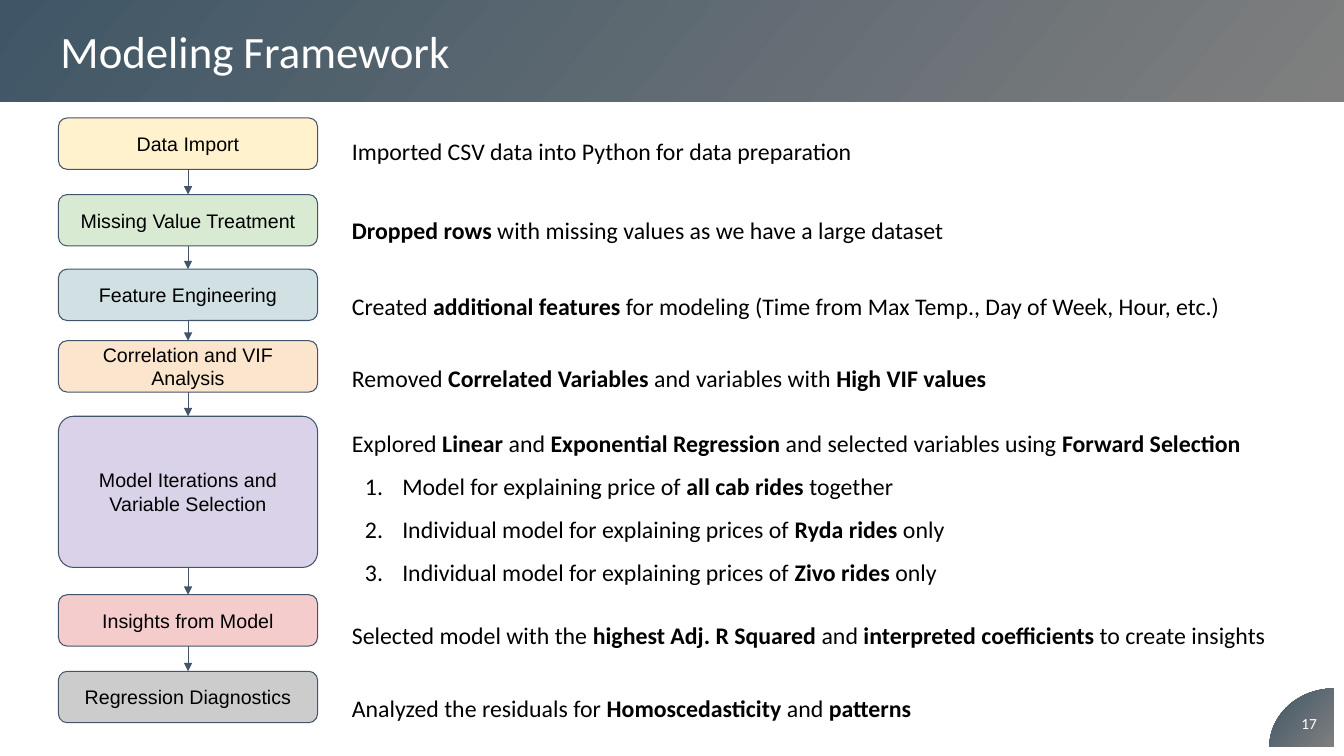
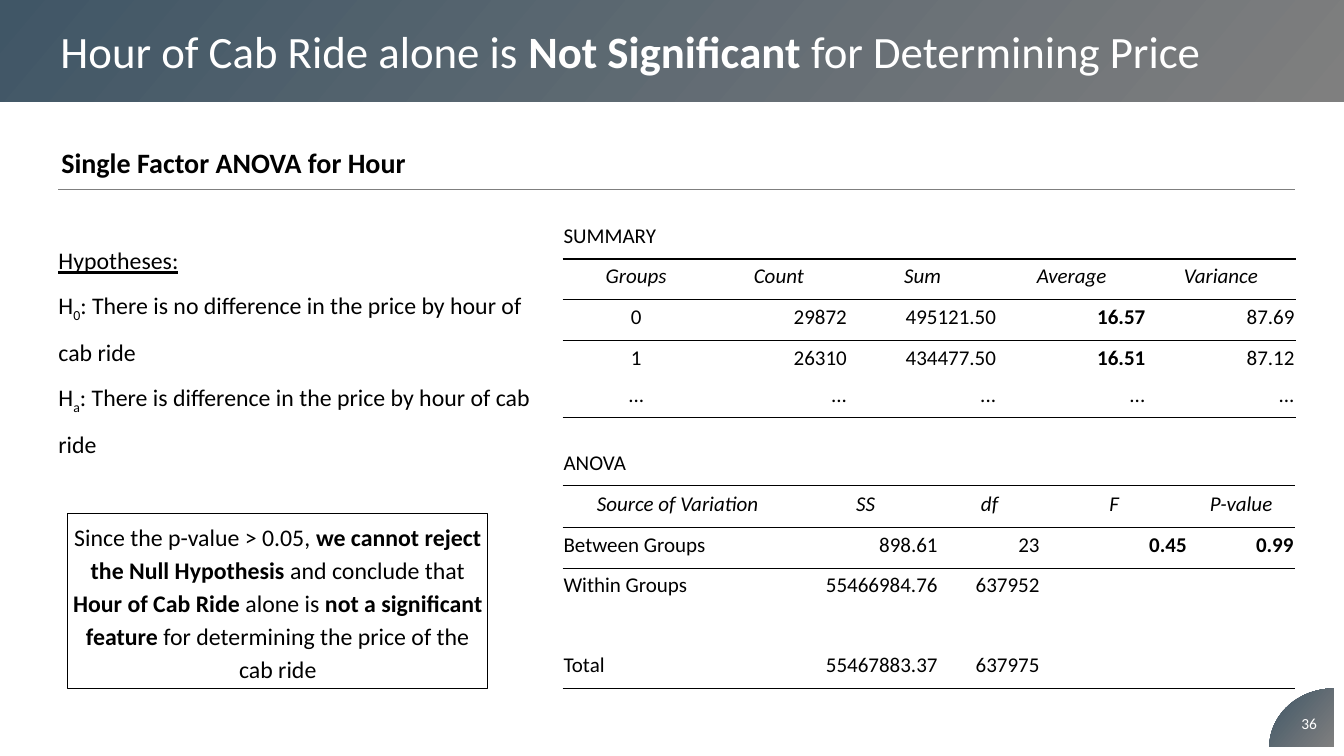
from math import cos, pi, sin

from lxml import etree
from pptx import Presentation
from pptx import util as u
from pptx.dml.color import RGBColor
from pptx.enum import shapes, text
from pptx.oxml import ns

COLORS = {
    "slate": "405666", "gray": "7F7F7F", "white": "FFFFFF", "black": "000000",
    "outline": "44546A", "yellow": "FFF2CC", "green": "D9EAD3", "teal": "D0E0E3",
    "orange": "FCE5CD", "purple": "D9D2E9", "red": "F4CCCC", "silver": "CCCCCC",
}
LEFT, CENTER, RIGHT = text.PP_ALIGN.LEFT, text.PP_ALIGN.CENTER, text.PP_ALIGN.RIGHT
MIDDLE = text.MSO_ANCHOR.MIDDLE
BODY = {"name": "Calibri", "size": u.Pt(17), "color": "black"}
TITLE = {**BODY, "size": u.Pt(32), "color": "white"}
NUMBER = {**BODY, "size": u.Pt(11), "color": "white"}
HEADING = {**BODY, "size": u.Pt(20), "bold": True}
CELL = {**BODY, "size": u.Pt(15)}
STEP = {**BODY, "name": "Arial", "size": u.Pt(14)}

STEPS = [
    ("Data Import", 1.17, 0.51, "yellow", 1.17, 0.51,
     ["Imported CSV data into Python for data preparation"]),
    ("Missing Value Treatment", 1.93, 0.51, "green", 1.96, 0.51,
     ["**Dropped rows** with missing values as we have a large dataset"]),
    ("Feature Engineering", 2.67, 0.51, "teal", 2.71, 0.51,
     ["Created **additional features** for modeling "
      "(Time from Max Temp., Day of Week, Hour, etc.)"]),
    ("Correlation and VIF Analysis", 3.38, 0.51, "orange", 3.42, 0.51,
     ["Removed **Correlated Variables** and variables with **High VIF values**"]),
    ("Model Iterations and Variable Selection", 4.13, 1.5, "purple", 4.09, 1.75,
     ["Explored **Linear** and **Exponential Regression** and selected variables "
      "using **Forward Selection**",
      "Model for explaining price of **all cab rides** together",
      "Individual model for explaining prices of **Ryda rides** only",
      "Individual model for explaining prices of **Zivo rides** only"]),
    ("Insights from Model", 5.9, 0.51, "red", 5.97, 0.51,
     ["Selected model with the **highest Adj. R Squared** and "
      "**interpreted coefficients** to create insights"]),
    ("Regression Diagnostics", 6.66, 0.51, "silver", 6.7, 0.51,
     ["Analyzed the residuals for **Homoscedasticity** and **patterns**"]),
]
SUMMARY = [
    ["SUMMARY"],
    ["Groups", "Count", "Sum", "Average", "Variance"],
    ["0", "29872", "495121.50", "**16.57**", "87.69"],
    ["1", "26310", "434477.50", "**16.51**", "87.12"],
    ["..."] * 5,
]
ANOVA = [
    ["ANOVA"],
    ["Source of Variation", "SS", "df", "F", "P-value"],
    ["Between Groups", "898.61", "23", "**0.45**", "**0.99**"],
    ["Within Groups", "55466984.76", "637952"],
    [],
    ["Total", "55467883.37", "637975"],
]
HYPOTHESES = [
    "H~0~: There is no difference in the price by hour of cab ride",
    "H~a~: There is difference in the price by hour of cab ride",
]
CONCLUSION = (
    "Since the p-value > 0.05, **we cannot reject the Null Hypothesis** and conclude "
    "that **Hour of Cab Ride **alone is **not a significant feature** for determining "
    "the price of the cab ride"
)


def inches(*values):
    """Turn numbers into lengths."""
    return [u.Inches(value) for value in values]


def color(name):
    """Look up a named colour."""
    return RGBColor.from_string(COLORS[name])


def add_xml(parent, tag, **attributes):
    """Append a drawing element and return it."""
    return etree.SubElement(parent, ns.qn("a:" + tag), attributes)


def style_font(font, style):
    """Apply a dict of format values to a font."""
    for key, value in style.items():
        if key == "color":
            font.color.rgb = color(value)
        else:
            setattr(font, key, value)


def write(para, words, style, align=LEFT, spacing=None):
    """Write words with **bold** and ~subscript~ marks into a paragraph."""
    para.alignment = align
    if spacing:
        para.line_spacing = spacing
    for index, chunk in enumerate(words.split("**")):
        for part, piece in enumerate(chunk.split("~")):
            if not piece:
                continue
            span = para.add_run()
            span.text = piece
            style_font(span.font, style)
            if index % 2:
                span.font.bold = True
            if part % 2:
                span._r.get_or_add_rPr().set("baseline", "-25000")


def set_frame(shape, margins=(0, 0, 0, 0), anchor=MIDDLE):
    """Set insets, wrapping and anchor, and return the text frame."""
    frame = shape.text_frame
    frame.word_wrap = True
    frame.auto_size = text.MSO_AUTO_SIZE.NONE
    frame.vertical_anchor = anchor
    for side, value in zip(("left", "top", "right", "bottom"), margins):
        setattr(frame, "margin_" + side, u.Inches(value))
    return frame


def add_text(page, box, lines, style=BODY, spacing=1.5, align=LEFT,
             margins=(0, 0, 0, 0), anchor=MIDDLE, numbered=False):
    """Add a text box; when numbered, lines after the first form a list."""
    frame = set_frame(page.shapes.add_textbox(*inches(*box)), margins, anchor)
    for index, line in enumerate(lines):
        para = frame.add_paragraph() if index else frame.paragraphs[0]
        if index and numbered:
            props = para._p.get_or_add_pPr()
            props.set("marL", str(u.Inches(0.5)))
            props.set("indent", str(u.Inches(-0.37)))
            add_xml(props, "buAutoNum", type="arabicPeriod")
        write(para, line, style, align, spacing)
    return frame


def add_box(page, box, kind, line, fill=None):
    """Add an outlined shape, filled or empty."""
    shape = page.shapes.add_shape(kind, *inches(*box))
    shape.shadow.inherit = False
    shape.line.color.rgb = color(line)
    shape.line.width = u.Pt(0.75)
    if fill:
        shape.fill.solid()
        shape.fill.fore_color.rgb = color(fill)
    else:
        shape.fill.background()
    return shape


def add_line(page, start, end, line, arrow=False):
    """Add a thin straight connector."""
    connector = page.shapes.add_connector(
        shapes.MSO_CONNECTOR.STRAIGHT, *inches(*start, *end))
    connector.line.color.rgb = color(line)
    connector.line.width = u.Pt(0.75)
    if arrow:
        add_xml(connector.line._get_or_add_ln(), "tailEnd", type="triangle")
    add_xml(connector._element.spPr, "effectLst")
    return connector


def shade(shape):
    """Fill a shape with the shared gradient."""
    shape.fill.gradient()
    shape.fill.gradient_angle = 320
    for stop, name, place in zip(shape.fill.gradient_stops, ("slate", "gray"), (0, 1)):
        stop.color.rgb = color(name)
        stop.position = place


def add_corner(page, box, number):
    """Add the quarter-round page number corner."""
    left, top, width, height = box
    right, bottom = left + width, top + height
    angles = [pi / 2 * step / 24 for step in range(25)]
    arc = [inches(right - width * cos(a), bottom - height * sin(a)) for a in angles]
    builder = page.shapes.build_freeform(*inches(right, bottom))
    builder.add_line_segments(arc, close=True)
    corner = builder.convert_to_shape()
    corner.shadow.inherit = False
    corner.line.fill.background()
    shade(corner)
    add_text(page, (left + 0.18, top + 0.15, 0.43, 0.4), [number], NUMBER, None,
             CENTER, (0.1, 0.05, 0.1, 0.05))


def add_page(deck, title, number):
    """Add a slide with the title band and the numbered corner."""
    page = deck.slides.add_slide(deck.slide_layouts[5])
    band = page.shapes.title
    band.left, band.top, band.width, band.height = inches(0, 0, 13.33, 1.01)
    shade(band)
    write(set_frame(band, (0.6, 0.05, 0.1, 0.05)).paragraphs[0], title, TITLE)
    add_corner(page, (12.59, 6.83, 0.64, 0.58), number)
    return page


def add_flow(page, left, width, text_left, text_width):
    """Add the column of linked steps with their descriptions."""
    previous = None
    for label, top, height, fill, text_top, text_height, lines in STEPS:
        step = add_box(page, (left, top, width, height),
                       shapes.MSO_SHAPE.ROUNDED_RECTANGLE, "outline", fill)
        step.adjustments[0] = 0.1 if height > 1 else 0.17
        frame = set_frame(step, (0.1, 0.1, 0.1, 0.1))
        write(frame.paragraphs[0], label, STEP, CENTER)
        if previous:
            arrow = add_line(page, (0, 0), (1, 1), "outline", arrow=True)
            arrow.begin_connect(previous, 2)
            arrow.end_connect(step, 0)
        previous = step
        add_text(page, (text_left, text_top, text_width, text_height), lines,
                 numbered=True)


def set_borders(cell, above, below):
    """Rule a cell above and below where a width is given."""
    props = cell._tc.get_or_add_tcPr()
    for tag, width in (("lnL", 0), ("lnR", 0), ("lnT", above), ("lnB", below)):
        line = add_xml(props, tag, w=str(u.Pt(width)))
        if width:
            fill = add_xml(line, "solidFill")
            add_xml(fill, "srgbClr", val=COLORS["black"])
        else:
            add_xml(line, "noFill")


def add_stats(page, left, top, widths, heights, rows, first_align):
    """Add a ruled statistics table with a caption row and an italic header."""
    graphic = page.shapes.add_table(
        len(rows), len(widths), *inches(left, top, sum(widths), sum(heights)))
    table = graphic.table
    table.first_row = table.horz_banding = False
    for column, width in zip(table.columns, widths):
        column.width = u.Inches(width)
    rules = {0: 1, 1: 0.75, 2: 0.75, len(rows) - 1: 1}
    for r, (values, height) in enumerate(zip(rows, heights)):
        table.rows[r].height = u.Inches(height)
        for c in range(len(widths)):
            cell = table.cell(r, c)
            set_borders(cell, rules.get(r - 1, 0), rules.get(r, 0))
            cell.fill.background()
            cell.vertical_anchor = text.MSO_ANCHOR.BOTTOM
            cell.margin_left = cell.margin_top = cell.margin_right = u.Inches(0.01)
            cell.margin_bottom = u.Inches(0.1)
            para = cell.text_frame.paragraphs[0]
            if c >= len(values):
                style_font(para.font, CELL)
                continue
            body_align = RIGHT if c else first_align
            align = LEFT if r == 0 else CENTER if r == 1 else body_align
            write(para, values[c], {**CELL, "italic": r == 1}, align)


def add_hypotheses(page, left, top):
    """Add the hypotheses and the boxed conclusion below them."""
    frame = add_text(page, (left, top, 4.7, 1.98), ["Hypotheses:"] + HYPOTHESES,
                     anchor=text.MSO_ANCHOR.TOP)
    frame.paragraphs[0].runs[0].font.underline = True
    box = add_box(page, (left + 0.09, top + 2.79, 4.17, 1.74),
                  shapes.MSO_SHAPE.RECTANGLE, "black")
    write(set_frame(box).paragraphs[0], CONCLUSION, BODY, CENTER, 1.15)


def build_framework(deck):
    """Build the modeling framework slide."""
    page = add_page(deck, "Modeling Framework", "17")
    add_flow(page, 0.58, 2.57, 3.49, 9.36)


def build_anova(deck):
    """Build the ANOVA slide."""
    page = add_page(deck, "Hour of Cab Ride alone is **Not Significant** "
                          "for Determining Price", "36")
    add_text(page, (0.51, 1.39, 7.33, 0.4), ["Single Factor ANOVA for Hour"], HEADING,
             None, LEFT, (0.1, 0.05, 0.1, 0.05), text.MSO_ANCHOR.TOP)
    add_line(page, (0.58, 1.88), (12.84, 1.88), "gray")
    add_stats(page, 5.58, 2.18, (1.46, 1.37, 1.48, 1.48, 1.48),
              (0.39, 0.4, 0.41, 0.4, 0.36), SUMMARY, CENTER)
    add_stats(page, 5.58, 4.43, (2.28, 1.45, 1.01, 1.46, 1.06),
              (0.39, 0.41, 0.41, 0.4, 0.39, 0.4), ANOVA, LEFT)
    add_hypotheses(page, 0.58, 2.3)


def main():
    """Build and save the deck."""
    deck = Presentation()
    deck.slide_width, deck.slide_height = inches(13.33, 7.5)
    build_framework(deck)
    build_anova(deck)
    deck.save("out.pptx")


if __name__ == "__main__":
    main()
